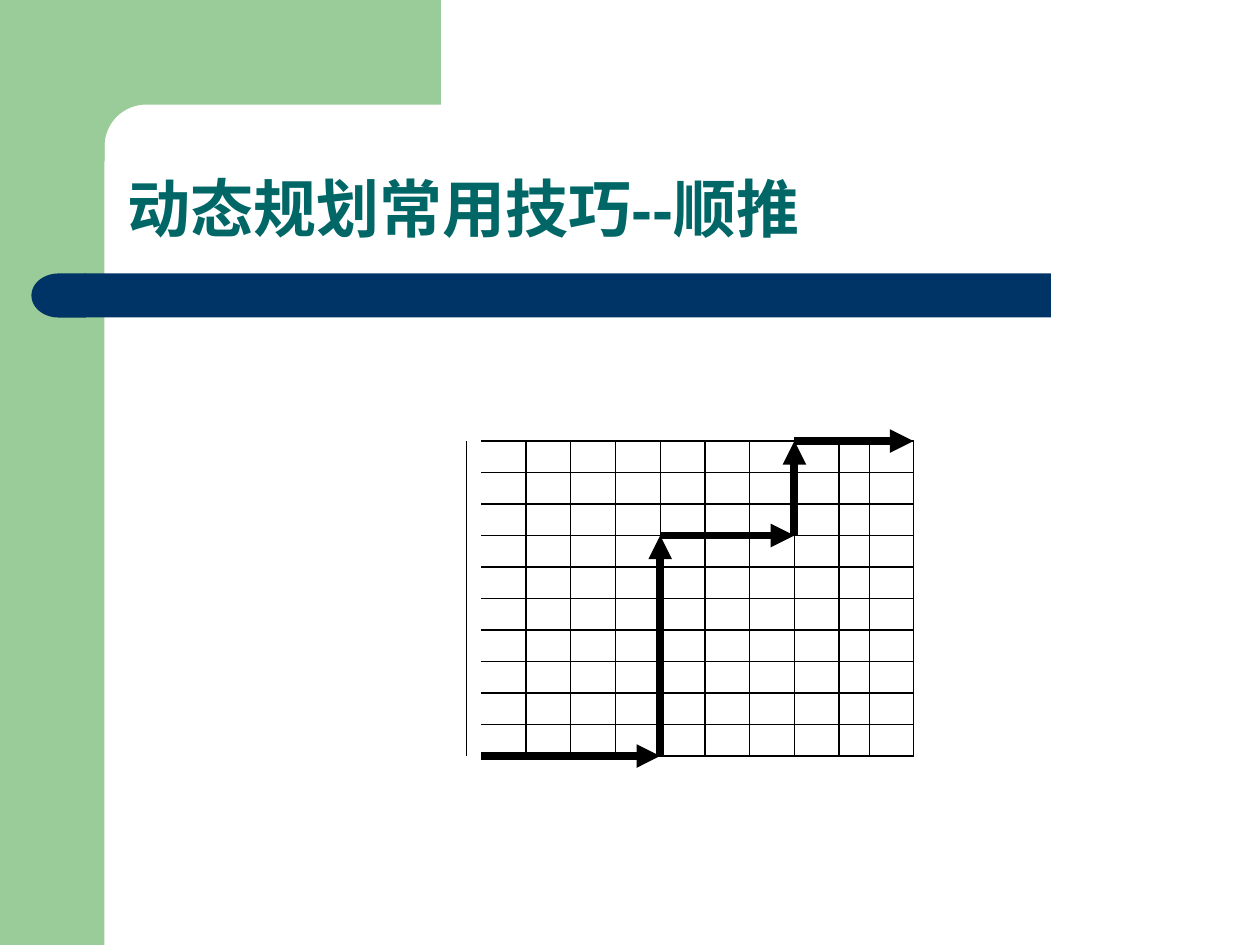
from dataclasses import dataclass
from math import cos, pi, sin

from pptx import Presentation
from pptx.dml.color import RGBColor
from pptx.enum.shapes import MSO_CONNECTOR as Connector, MSO_SHAPE as Preset
from pptx.enum.text import MSO_ANCHOR as Anchor, MSO_AUTO_SIZE as AutoSize, PP_ALIGN as Align
from pptx.oxml.ns import qn
from pptx.util import Inches, Pt
from lxml.etree import SubElement

COLORS = {"green": "99CC99", "navy": "003366", "teal": "006666", "black": "000000"}


@dataclass
class Block:
    preset: Preset
    left: float
    top: float
    width: float
    height: float
    color: str
    flipped: bool = False


@dataclass
class Segment:
    start: tuple[float, float]
    end: tuple[float, float]
    weight: float = 0.75
    arrow: bool = False


def rgb(name: str) -> RGBColor:
    return RGBColor.from_string(COLORS[name])


def paint(shape, color: str) -> None:
    shape.shadow.inherit = False
    shape.fill.solid()
    shape.fill.fore_color.rgb = rgb(color)
    shape.line.fill.background()


def draw_block(slide, block: Block) -> None:
    box = (Inches(v) for v in (block.left, block.top, block.width, block.height))
    shape = slide.shapes.add_shape(block.preset, *box)
    paint(shape, block.color)
    if block.flipped:
        shape.element.spPr.find(qn("a:xfrm")).set("flipH", "1")


def draw_corner(slide) -> None:
    """Green top band whose inner corner is a quarter circle."""
    center, radius, steps = 1.16, 0.33, 16
    angles = [pi / 2 * i / steps for i in range(steps + 1)]
    arc = [(center - radius * sin(a), center - radius * cos(a)) for a in angles]
    outline = [(3.5, 0), (3.5, 0.83), *arc, (0.83, 1.28), (0.5, 1.28), (0.5, 0)]
    points = [(Inches(x), Inches(y)) for x, y in outline]
    builder = slide.shapes.build_freeform(*points[0])
    builder.add_line_segments(points[1:], close=True)
    paint(builder.convert_to_shape(), "green")


def draw_segment(slide, segment: Segment) -> None:
    ends = (Inches(v) for v in (*segment.start, *segment.end))
    connector = slide.shapes.add_connector(Connector.STRAIGHT, *ends)
    connector.line.color.rgb = rgb("black")
    connector.line.width = Pt(segment.weight)
    if segment.arrow:
        SubElement(connector.line._get_or_add_ln(), qn("a:tailEnd"), type="triangle")
    SubElement(connector._element.spPr, qn("a:effectLst"))


def write_title(slide, text: str) -> None:
    title = slide.shapes.title
    frame = title.text_frame
    frame.text = text
    paragraph = frame.paragraphs[0]
    font = paragraph.runs[0].font
    font.color.rgb = rgb("teal")
    formats = [
        (title, {"left": Inches(0.91), "top": Inches(0.91),
                 "width": Inches(8.51), "height": Inches(1.09)}),
        (frame, {"vertical_anchor": Anchor.BOTTOM, "word_wrap": True,
                 "auto_size": AutoSize.NONE}),
        (paragraph, {"alignment": Align.LEFT, "line_spacing": 0.9}),
        (font, {"name": "Arial", "size": Pt(36), "bold": True}),
    ]
    for target, values in formats:
        for attribute, value in values.items():
            setattr(target, attribute, value)


# Grid geometry
LEFT, RIGHT, TOP, BOTTOM = 3.82, 7.25, 3.5, 6
ROWS = [TOP + 0.25 * i for i in range(11)]
COLUMNS = [LEFT + 0.355 * i for i in range(9)]
VERTICALS = [3.7, *COLUMNS[1:], 6.9, RIGHT]

# Corners of the stepped route
ROUTE = [(LEFT, BOTTOM), (COLUMNS[4], BOTTOM), (COLUMNS[4], ROWS[3]),
         (COLUMNS[7], ROWS[3]), (COLUMNS[7], TOP), (RIGHT, TOP)]

BLOCKS = [
    Block(Preset.RECTANGLE, 0, 0, 0.83, 7.5, "green"),
    Block(Preset.RECTANGLE, 0.67, 2.17, 7.67, 0.35, "navy"),
    Block(Preset.FLOWCHART_DELAY, 0.25, 2.17, 0.43, 0.35, "navy", flipped=True),
]


def main() -> None:
    presentation = Presentation()
    presentation.slide_width, presentation.slide_height = Inches(10), Inches(7.5)
    slide = presentation.slides.add_slide(presentation.slide_layouts[5])

    # Frame and title
    draw_corner(slide)
    for block in BLOCKS:
        draw_block(slide, block)
    write_title(slide, "动态规划常用技巧--顺推")

    # Grid, then the route over it
    segments = [Segment((LEFT, y), (RIGHT, y)) for y in ROWS]
    segments += [Segment((x, TOP), (x, BOTTOM)) for x in VERTICALS]
    segments += [Segment(a, b, 4.5, True) for a, b in zip(ROUTE, ROUTE[1:])]
    for segment in segments:
        draw_segment(slide, segment)

    presentation.save("out.pptx")


if __name__ == "__main__":
    main()
